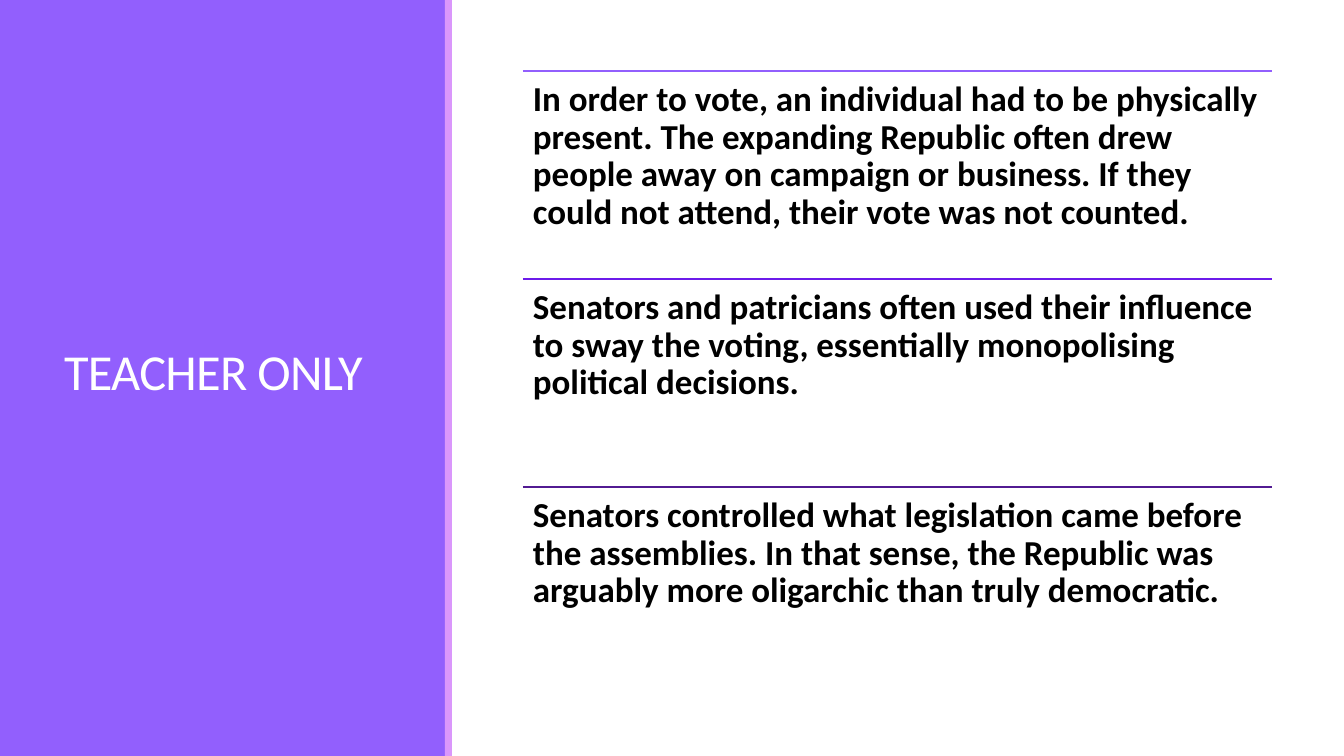
from lxml.etree import SubElement
from pptx import Presentation
from pptx.dml.color import RGBColor
from pptx.enum.shapes import MSO_CONNECTOR, MSO_SHAPE
from pptx.enum.text import MSO_ANCHOR
from pptx.oxml.ns import qn
from pptx.util import Emu, Pt

PX = 914400 / 100.8

PURPLE = RGBColor(0x92, 0x5F, 0xFD)
VIOLET = RGBColor(0x6C, 0x1B, 0xEA)
INDIGO = RGBColor(0x52, 0x1B, 0x92)
PINK = RGBColor(0xDA, 0x97, 0xFB)
WHITE = RGBColor(0xFF, 0xFF, 0xFF)
BLACK = RGBColor(0x00, 0x00, 0x00)

TITLE = {"size": Pt(36), "bold": False}
BODY = {"size": Pt(25), "bold": True}

POINTS = [
    (PURPLE, "In order to vote, an individual had to be physically present. "
             "The expanding Republic often drew people away on campaign or business. "
             "If they could not attend, their vote was not counted."),
    (VIOLET, "Senators and patricians often used their influence to sway the voting, "
             "essentially monopolising political decisions."),
    (INDIGO, "Senators controlled what legislation came before the assemblies. "
             "In that sense, the Republic was arguably more oligarchic than truly democratic."),
]


def px(*lengths):
    return [Emu(round(n * PX)) for n in lengths]


class Deck:
    font = "Calibri"

    def __init__(self, width, height):
        self.prs = Presentation()
        self.prs.slide_width, self.prs.slide_height = px(width, height)
        self.s = self.prs.slides.add_slide(self.prs.slide_layouts[6])

    def rect(self, x, y, w, h, color):
        sp = self.s.shapes.add_shape(MSO_SHAPE.RECTANGLE, *px(x, y, w, h))
        sp.shadow.inherit = False
        sp.fill.solid()
        sp.fill.fore_color.rgb = color
        sp.line.fill.background()

    def rule(self, x, y, w, color):
        ln = self.s.shapes.add_connector(MSO_CONNECTOR.STRAIGHT, *px(x, y, x + w, y))
        ln.line.color.rgb = color
        ln.line.width = Pt(1.25)
        SubElement(ln._element.spPr, qn("a:effectLst"))

    def text(self, x, y, w, h, words, style, color, spacing, inset=5,
             anchor=MSO_ANCHOR.TOP, tracking=0):
        tf = self.s.shapes.add_textbox(*px(x, y, w, h)).text_frame
        side, edge = px(10, inset)
        frame = {"word_wrap": True, "vertical_anchor": anchor,
                 "margin_left": side, "margin_right": side,
                 "margin_top": edge, "margin_bottom": edge}
        for name, value in frame.items():
            setattr(tf, name, value)
        p = tf.paragraphs[0]
        p.line_spacing = spacing
        r = p.add_run()
        r.text = words
        for name, value in {"name": self.font, **style}.items():
            setattr(r.font, name, value)
        r.font.color.rgb = color
        if tracking:
            r._r.get_or_add_rPr().set("spc", str(tracking))


def main():
    deck = Deck(1344, 756)

    # Side panel with title
    deck.rect(0, 0, 447, 756, PURPLE)
    deck.text(54, 57, 340, 636, "TEACHER ONLY", TITLE, WHITE, 0.85,
              anchor=MSO_ANCHOR.MIDDLE, tracking=-50)
    deck.rect(445, 0, 7, 756, PINK)

    # Ruled list of points
    left, top, width, pitch = 523, 71, 749, 208
    for i, (color, words) in enumerate(POINTS):
        y = top + i * pitch
        deck.rule(left, y, width, color)
        deck.text(left, y, width, pitch, words, BODY, BLACK, 0.9, inset=10)

    deck.prs.save("out.pptx")


if __name__ == "__main__":
    main()
